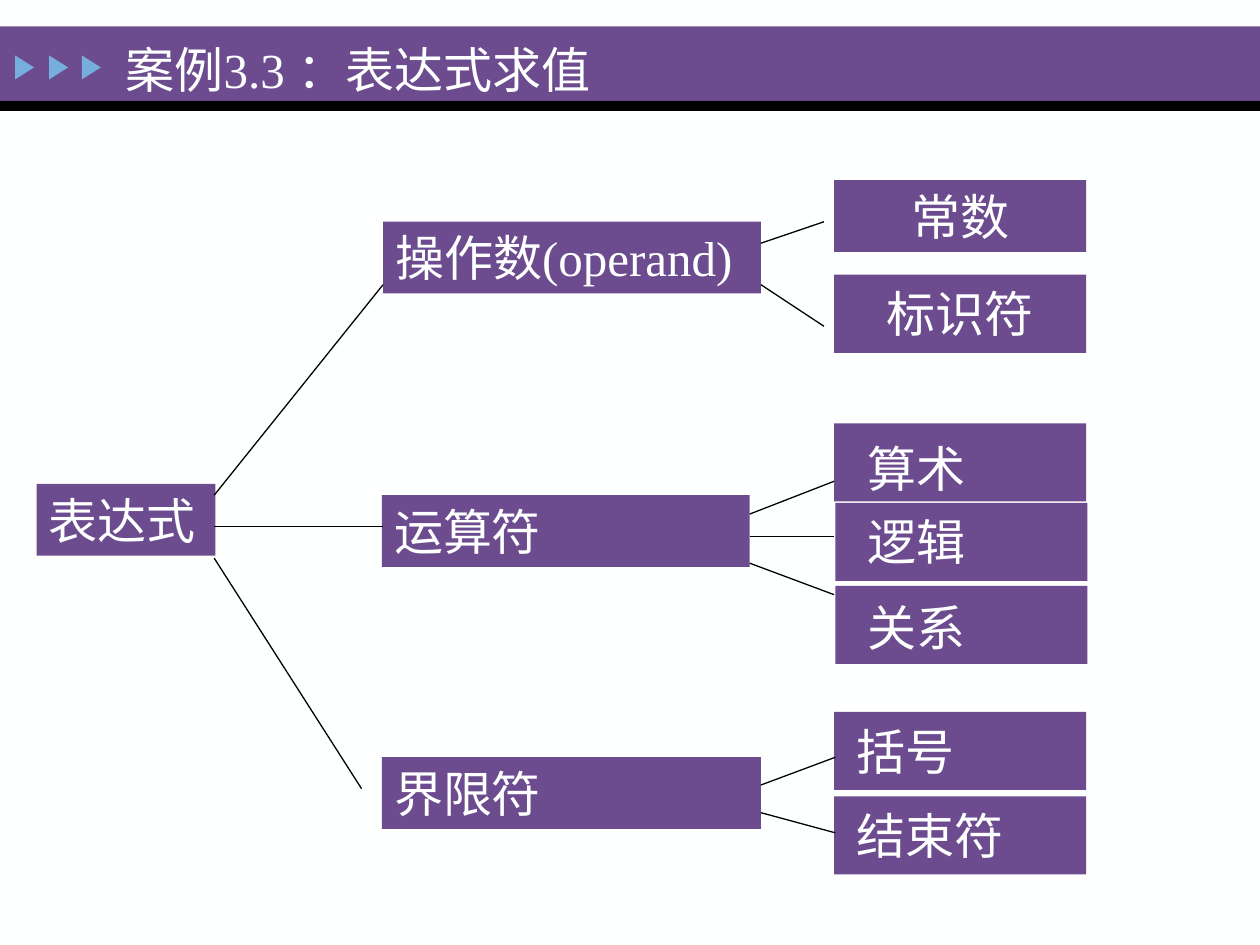
"""Build the expression evaluation tree slide on a grid of 100 columns by 75 rows."""
from pptx import Presentation
from pptx import util as u
from pptx.dml.color import RGBColor
from pptx.enum import shapes, text
from pptx.oxml.ns import qn
from lxml import etree

COLS, ROWS = 100, 75
THEME = {
    "paper": "FEFFFF", "panel": "6C4C8F", "rule": "000000", "marker": "76AEDD",
    "font": "Times New Roman", "size": 28, "line": 0.75,
}
TITLE = "案例3.3 ：表达式求值"
BARS = [(2.1, 5.9, "panel"), (8, 0.8, "rule")]
MARKERS = [1, 3.7, 6.3]
LEAF_X, LEAF_W, LEAF_H, TEXT_H = 66.2, 20, 6.2, 5.7

ROOT = ("表达式", 2.9, 38.4, 14.2)
BRANCHES = [
    ("操作数(operand)", 30.4, 17.6, 30),
    ("界限符", 30.3, 60.1, 30.1),
    ("运算符", 30.3, 39.3, 29.2),
]
CONSTANT = ("常数", 14.3)
LEAVES = [
    ("标识符", 66.2, 21.8, 66.2, 22, 20, "CENTER"),
    ("算术", 66.2, 33.6, 67.9, 34.3, 18.4, "LEFT"),
    ("逻辑", 66.3, 39.9, 67.9, 40.1, 16.8, "LEFT"),
    ("关系", 66.3, 46.5, 67.9, 46.9, 14.4, "LEFT"),
    ("括号", 66.2, 56.5, 67, 56.8, 17.6, "LEFT"),
    ("结束符", 66.2, 63.2, 67, 63.4, 17.6, "LEFT"),
]
LINKS = [
    (17, 30.4, [(39.3, 22.6), (41.8, 41.8)]),
    (17, 28.7, [(44.3, 62.6)]),
    (60.4, 65.4, [(19.3, 17.6), (22.6, 25.9)]),
    (59.5, 66.2, [(40.8, 38.2), (42.6, 42.6), (44.7, 47.2)]),
    (60.4, 66.3, [(62.3, 60.1), (64.5, 66.1)]),
]

prs = Presentation()
prs.slide_width, prs.slide_height = u.Inches(10), u.Inches(7.5)
s = prs.slides.add_slide(prs.slide_layouts[6])


def color(name):
    return RGBColor.from_string(THEME[name])


def grid(x, y, w, h):
    cw, rh = prs.slide_width / COLS, prs.slide_height / ROWS
    return [round(v) for v in (x * cw, y * rh, w * cw, h * rh)]


def add_panel(x, y, w, h, fill="panel", kind=shapes.MSO_SHAPE.RECTANGLE):
    sp = s.shapes.add_shape(kind, *grid(x, y, w, h))
    sp.shadow.inherit = False
    sp.fill.solid()
    sp.fill.fore_color.rgb = color(fill)
    sp.line.fill.background()
    return sp


def add_text(words, sp=None, box=None, align="LEFT", anchor="TOP", hang=0):
    sp = sp or s.shapes.add_textbox(*grid(*box))
    tf = sp.text_frame
    tf.word_wrap = True
    tf.auto_size = text.MSO_AUTO_SIZE.NONE
    tf.vertical_anchor = text.MSO_ANCHOR[anchor]
    p = tf.paragraphs[0]
    p.alignment = text.PP_ALIGN[align]
    if hang:
        pPr = p._p.get_or_add_pPr()
        pPr.set("marL", str(u.Inches(hang)))
        pPr.set("indent", str(-u.Inches(hang)))
    r = p.add_run()
    r.text = words
    r.font.name, r.font.size = THEME["font"], u.Pt(THEME["size"])
    r.font.color.rgb = color("paper")


def add_link(x1, y1, x2, y2):
    c = s.shapes.add_connector(
        shapes.MSO_CONNECTOR.STRAIGHT, *grid(x1, y1, x2, y2))
    c.line.color.rgb = color("rule")
    c.line.width = u.Pt(THEME["line"])
    etree.SubElement(c._element.spPr, qn("a:effectLst"))


def main():
    s.background.fill.solid()
    s.background.fill.fore_color.rgb = color("paper")
    for y, h, fill in BARS:
        add_panel(0, y, COLS, h, fill)
    for x in MARKERS:
        tri = add_panel(x, 4.6, 1.9, 1.5, "marker",
                        shapes.MSO_SHAPE.ISOSCELES_TRIANGLE)
        tri.rotation = 90

    for words, x, y, tx, ty, tw, align in LEAVES:
        add_panel(x, y, LEAF_W, LEAF_H)
        add_text(words, box=(tx, ty, tw, TEXT_H), align=align)
    words, x, y, w = ROOT
    add_panel(x, y, w, TEXT_H)
    add_text(words, box=(x, y, w, TEXT_H))
    for words, x, y, w in BRANCHES:
        add_text(words, add_panel(x, y, w, TEXT_H))
    words, y = CONSTANT
    add_text(words, add_panel(LEAF_X, y, LEAF_W, TEXT_H), align="CENTER")

    for x1, x2, ends in LINKS:
        for y1, y2 in ends:
            add_link(x1, y1, x2, y2)
    add_text(TITLE, box=(9, 2.1, 54, 6.7), anchor="MIDDLE", hang=0.38)
    prs.save("out.pptx")


if __name__ == "__main__":
    main()
